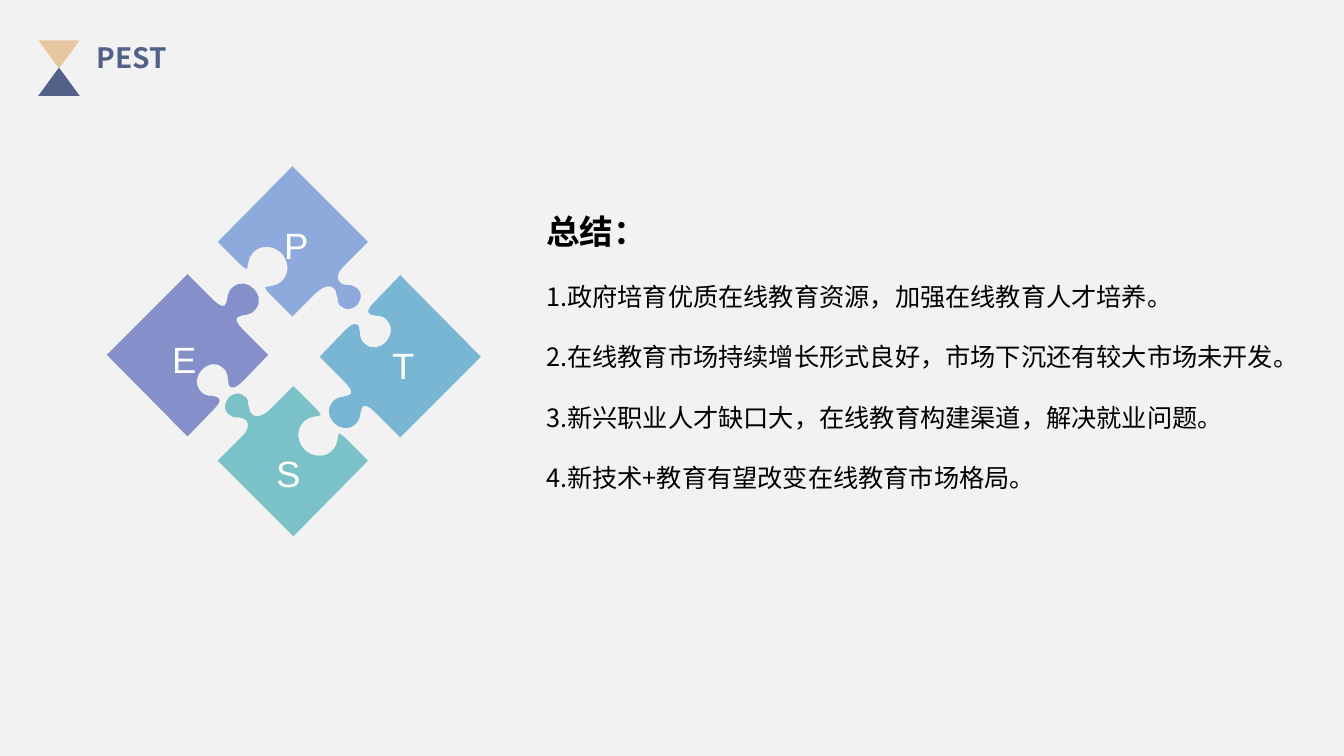
from lxml import etree
from pptx import Presentation
from pptx import util as u
from pptx.dml.color import RGBColor
from pptx.enum import shapes, text
from pptx.oxml.ns import qn

BACKGROUND = RGBColor(0xF2, 0xF2, 0xF2)
NAVY = RGBColor(0x52, 0x61, 0x88)
SAND = RGBColor(0xE7, 0xC7, 0xA0)
PERIWINKLE = RGBColor(0x8E, 0xAA, 0xDC)
VIOLET = RGBColor(0x85, 0x90, 0xCA)
AQUA = RGBColor(0x7A, 0xC2, 0xC7)
SKY = RGBColor(0x79, 0xB6, 0xD3)
BLACK = RGBColor(0, 0, 0)
WHITE = RGBColor(0xFF, 0xFF, 0xFF)
CJK = "Noto Sans CJK SC"

SIDE_PIECE = [
    (46, 69), (38, 63, 41, 58, 39, 51), (37, 47, 33, 47, 24, 56), (0, 81), (24, 105),
    (33, 114, 33, 118, 29, 119), (22, 122, 18, 119, 12, 127), (2, 140, 21, 159, 34, 149),
    (42, 143, 39, 139, 42, 132), (43, 128, 47, 128, 56, 137), (80, 161), (160, 81),
    (80, 0), (53, 28), (47, 34, 47, 38, 51, 39), (58, 42, 62, 38, 68, 46),
    (78, 60, 59, 79, 46, 69),
]
END_PIECE = [
    (53, 128), (48, 123, 47, 121, 47, 120), (49, 119, 50, 119, 52, 119),
    (56, 118, 61, 118, 66, 111), (71, 104, 70, 93, 63, 86), (56, 79, 45, 78, 38, 83),
    (31, 88, 31, 93, 30, 97), (30, 99, 30, 100, 29, 102), (28, 102, 27, 101, 24, 99),
    (0, 75), (74, 0), (149, 75), (128, 96), (124, 100, 121, 103, 120, 106),
    (118, 111, 120, 114, 121, 115), (122, 116, 123, 116, 124, 117),
    (127, 118, 130, 118, 132, 118), (135, 119, 136, 119, 138, 121),
    (139, 121, 139, 122, 140, 123), (144, 128, 141, 134, 138, 138),
    (134, 141, 128, 144, 123, 139), (122, 139, 121, 138, 121, 138),
    (119, 136, 119, 134, 119, 131), (118, 129, 118, 127, 117, 124),
    (117, 123, 116, 122, 115, 121), (109, 115, 99, 124, 96, 127), (74, 149),
]
PIECES = [
    ("T", SIDE_PIECE, SKY, 0, (2.11, 1.08), (2.59, 1.56)),
    ("P", END_PIECE, PERIWINKLE, 0, (1.1, 0), (1.53, 0.36)),
    ("E", SIDE_PIECE, VIOLET, 180, (0, 1.07), (0.42, 1.5)),
    ("S", END_PIECE, AQUA, 180, (1.1, 2.18), (1.45, 2.63)),
]
POINTS = [
    "1.政府培育优质在线教育资源，加强在线教育人才培养。",
    "2.在线教育市场持续增长形式良好，市场下沉还有较大市场未开发。",
    "3.新兴职业人才缺口大，在线教育构建渠道，解决就业问题。",
    "4.新技术+教育有望改变在线教育市场格局。",
]


def paint(sp, color):
    """Give a shape a plain fill with no line or shadow."""
    sp.shadow.inherit = False
    sp.fill.solid()
    sp.fill.fore_color.rgb = color
    sp.line.fill.background()


def write(p, words, size, color, font=CJK, bold=False, align=None, spacing=None):
    """Add one formatted run to a paragraph."""
    p.alignment, p.line_spacing = align, spacing
    r = p.add_run()
    r.text = words
    r.font.size, r.font.bold, r.font.name = u.Pt(size), bold, font
    r.font.color.rgb = color
    etree.SubElement(r._r.get_or_add_rPr(), qn("a:ea"), typeface=font)


def text_frame(s, x, y, w, h, anchor=text.MSO_ANCHOR.TOP):
    """Add a wrapping text box and return its frame."""
    sp = s.shapes.add_textbox(u.Inches(x), u.Inches(y), u.Inches(w), u.Inches(h))
    tf = sp.text_frame
    tf.word_wrap, tf.vertical_anchor = True, anchor
    return tf


def bend(sp, segments):
    """Turn the straight segments that have control points into cubic curves."""
    lines = list(sp._element.iter(qn("a:lnTo")))
    for line, segment in zip(lines, segments):
        if len(segment) == 6:
            curve = etree.Element(qn("a:cubicBezTo"))
            for px, py in zip(segment[::2], segment[1::2]):
                etree.SubElement(curve, qn("a:pt"), x=str(px), y=str(py))
            line.getparent().replace(line, curve)


def add_piece(s, outline, x, y, color, rotation):
    """Draw one puzzle piece from an outline in hundredths of an inch."""
    start, *segments = outline
    builder = s.shapes.build_freeform(*start, scale=u.Inches(0.01))
    builder.add_line_segments([segment[-2:] for segment in segments], close=True)
    sp = builder.convert_to_shape(u.Inches(x), u.Inches(y))
    bend(sp, segments)
    sp.rotation = rotation
    paint(sp, color)


def add_header(s, x, y, title):
    """Place the hourglass mark and the slide title."""
    for dy, color, rotation in ((0.32, NAVY, 0), (0.05, SAND, 180)):
        sp = s.shapes.add_shape(shapes.MSO_SHAPE.ISOSCELES_TRIANGLE, u.Inches(x),
                                u.Inches(y + dy), u.Inches(0.41), u.Inches(0.28))
        sp.rotation = rotation
        paint(sp, color)
    tf = text_frame(s, x + 0.48, y, 1.79, 0.44)
    write(tf.paragraphs[0], title, 20, NAVY, bold=True, align=text.PP_ALIGN.JUSTIFY)


def add_puzzle(s, x, y):
    """Place the four puzzle pieces and their letters."""
    for _, outline, color, rotation, (dx, dy), _ in PIECES:
        add_piece(s, outline, x + dx, y + dy, color, rotation)
    for letter, *_, (dx, dy) in PIECES:
        tf = text_frame(s, x + dx, y + dy, 0.7, 0.7, text.MSO_ANCHOR.MIDDLE)
        write(tf.paragraphs[0], letter, 26.1, WHITE, font="Arial",
              align=text.PP_ALIGN.CENTER, spacing=1.3)


def add_summary(s, x, y, w, h):
    """Place the summary heading and its points."""
    tf = text_frame(s, x, y, w, h)
    write(tf.paragraphs[0], "总结：", 24, BLACK, bold=True, spacing=2.0)
    for point in POINTS:
        write(tf.add_paragraph(), point, 18, BLACK, spacing=2.0)


def main():
    """Build and save the slide."""
    prs = Presentation()
    prs.slide_width, prs.slide_height = u.Inches(13.33), u.Inches(7.5)
    s = prs.slides.add_slide(prs.slide_layouts[6])
    s.background.fill.solid()
    s.background.fill.fore_color.rgb = BACKGROUND
    add_header(s, 0.38, 0.35, "PEST")
    add_summary(s, 5.32, 1.64, 7.79, 3.33)
    add_puzzle(s, 1.06, 1.65)
    prs.save("out.pptx")


main()
